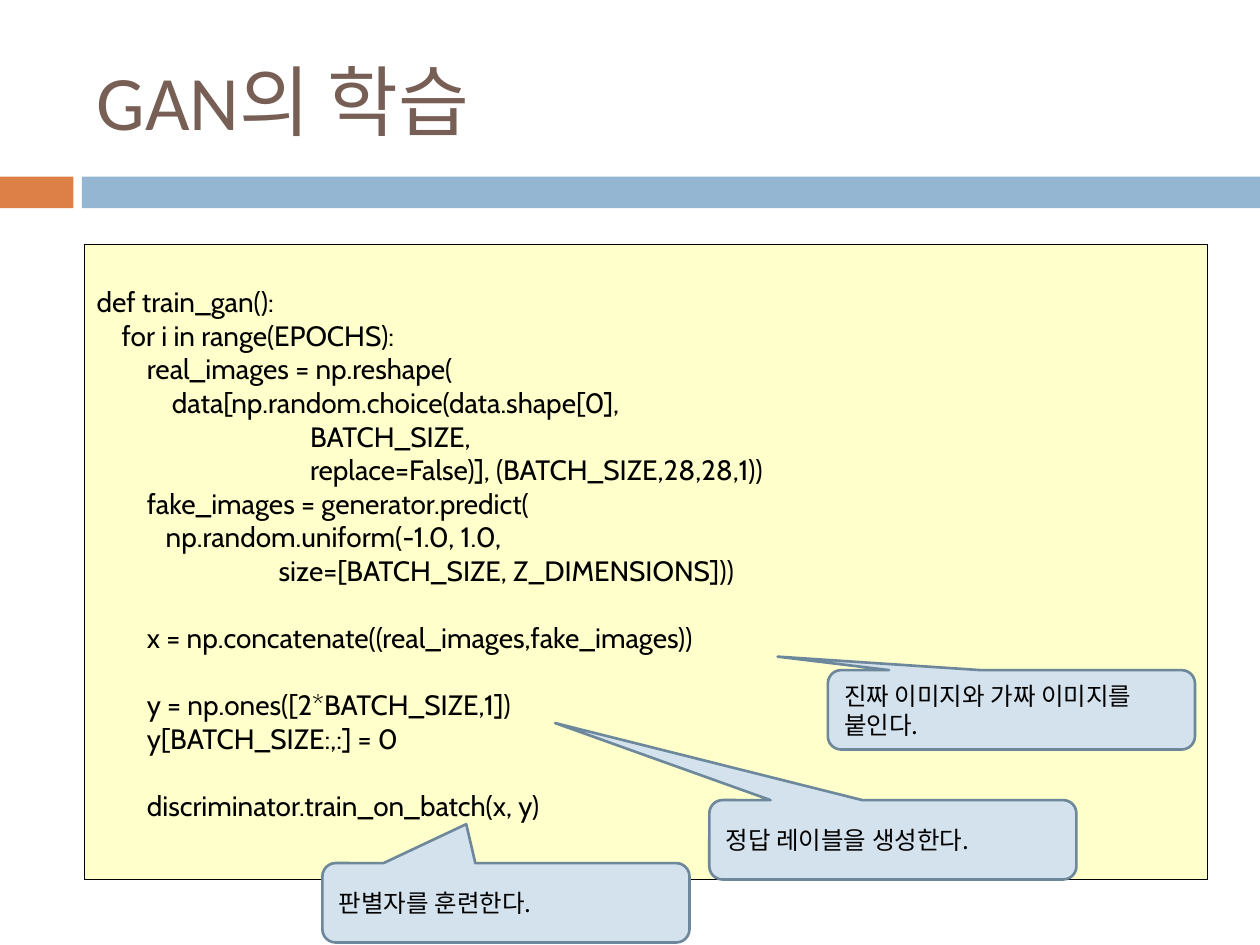
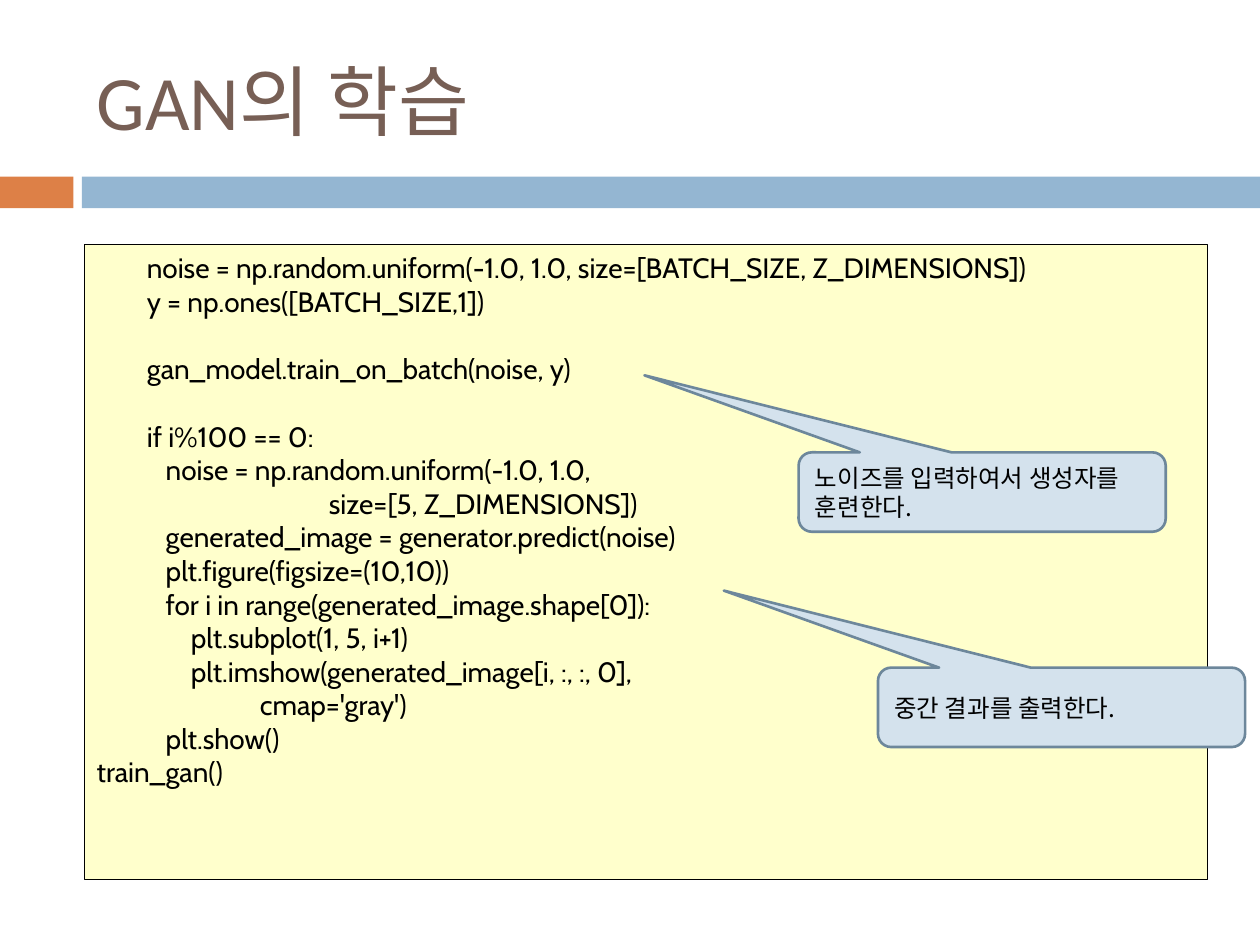
from collections import namedtuple

from lxml.etree import SubElement
from pptx import Presentation
from pptx.dml.color import RGBColor
from pptx.enum.shapes import MSO_SHAPE
from pptx.enum.text import MSO_ANCHOR, PP_ALIGN
from pptx.oxml.ns import qn
from pptx.util import Cm, Pt

Box = namedtuple("Box", "left top width height")
Callout = namedtuple("Callout", "text dx dy tip", defaults=[(-0.92, -1.471)])

COLORS = {
    "title": "775F55",
    "accent": "DD8047",
    "band": "94B6D2",
    "code_fill": "FFFFCC",
    "callout_fill": "D4E2ED",
    "callout_line": "6D879B",
    "text": "000000",
}
TITLE_FONT, CODE_FONT, KOREAN_FONT = "Calibri", "Cabin", "Noto Sans CJK KR"

SLIDE_WIDTH, SLIDE_HEIGHT = 25.4, 19.05
TITLE_BOX = Box(1.7, 0.64, 22.65, 2.74)
BAND_BOX = Box(0, 3.56, SLIDE_WIDTH, 0.64)
CODE_BOX = Box(1.7, 4.93, 22.65, 12.8)
CALLOUT_WIDTH, CALLOUT_HEIGHT = 7.4, 1.6
CODE_INSET = 0.13
CODE_LINE_CM = 0.68  # height of one 16 pt code line

TITLE = "GAN의 학습"

BATCH_CODE = """
def train_gan():
    for i in range(EPOCHS):
        real_images = np.reshape(
            data[np.random.choice(data.shape[0],
                                  BATCH_SIZE,
                                  replace=False)], (BATCH_SIZE,28,28,1))
        fake_images = generator.predict(
           np.random.uniform(-1.0, 1.0,
                             size=[BATCH_SIZE, Z_DIMENSIONS]))

        x = np.concatenate((real_images,fake_images))

        y = np.ones([2*BATCH_SIZE,1])
        y[BATCH_SIZE:,:] = 0

        discriminator.train_on_batch(x, y)"""

GENERATOR_CODE = """\
        noise = np.random.uniform(-1.0, 1.0, size=[BATCH_SIZE, Z_DIMENSIONS])
        y = np.ones([BATCH_SIZE,1])

        gan_model.train_on_batch(noise, y)

        if i%100 == 0:
           noise = np.random.uniform(-1.0, 1.0,
                                     size=[5, Z_DIMENSIONS])
           generated_image = generator.predict(noise)
           plt.figure(figsize=(10,10))
           for i in range(generated_image.shape[0]):
               plt.subplot(1, 5, i+1)
               plt.imshow(generated_image[i, :, :, 0],
                          cmap='gray')
           plt.show()
train_gan()"""

SLIDES = [
    (BATCH_CODE, [
        Callout("진짜 이미지와 가짜 이미지를 붙인다.", 14.99, 8.58, (-0.637, -0.67)),
        Callout("정답 레이블을 생성한다.", 12.6, 11.2),
        Callout("판별자를 훈련한다.", 4.8, 12.47, (-0.108, -0.991)),
    ]),
    (GENERATOR_CODE, [
        Callout("노이즈를 입력하여서 생성자를 훈련한다.", 14.4, 4.19),
        Callout("중간 결과를 출력한다.", 16, 8.53),
    ]),
]


def rgb(name):
    return RGBColor.from_string(COLORS[name])


def write_text(frame, text, *, size, font, color="text", anchor=MSO_ANCHOR.MIDDLE):
    """Fill a frame line by line; an empty line becomes space before the next."""
    frame.word_wrap = True
    frame.vertical_anchor = anchor
    gap = 0
    paragraph = None
    for line in text.split("\n"):
        if not line:
            gap += CODE_LINE_CM
            continue
        if paragraph is None:
            paragraph = frame.paragraphs[0]
            frame.margin_top = Cm(CODE_INSET + gap)
        else:
            paragraph = frame.add_paragraph()
            paragraph.space_before = Cm(gap)
        gap = 0
        paragraph.alignment = PP_ALIGN.LEFT
        run = paragraph.add_run()
        run.text = line
        run.font.size = Pt(size)
        run.font.name = font
        run.font.color.rgb = rgb(color)
        SubElement(run.font._element, qn("a:ea"), typeface=KOREAN_FONT)


def add_block(slide, preset, box, fill, line=None, line_width=0.75):
    block = slide.shapes.add_shape(preset, *map(Cm, box))
    block.shadow.inherit = False
    block.fill.solid()
    block.fill.fore_color.rgb = rgb(fill)
    if line:
        block.line.color.rgb = rgb(line)
        block.line.width = Pt(line_width)
    else:
        block.line.fill.background()
    return block


def add_title(slide, box):
    title = slide.shapes.add_textbox(*map(Cm, box))
    write_text(title.text_frame, TITLE, size=44, font=TITLE_FONT, color="title")


def add_band(slide, box, accent_width=1.48, gap=0.17):
    band_offset = accent_width + gap
    accent_box = box._replace(width=accent_width)
    band_box = box._replace(left=box.left + band_offset, width=box.width - band_offset)
    add_block(slide, MSO_SHAPE.RECTANGLE, accent_box, "accent")
    add_block(slide, MSO_SHAPE.RECTANGLE, band_box, "band")


def add_code(slide, box, code, callouts):
    """Draw the listing and the callouts, which are offset from its corner."""
    listing = add_block(slide, MSO_SHAPE.RECTANGLE, box, "code_fill", "text")
    write_text(listing.text_frame, code, size=16, font=CODE_FONT, anchor=MSO_ANCHOR.TOP)
    for callout in callouts:
        callout_box = Box(box.left + callout.dx, box.top + callout.dy,
                          CALLOUT_WIDTH, CALLOUT_HEIGHT)
        bubble = add_block(slide, MSO_SHAPE.ROUNDED_RECTANGULAR_CALLOUT, callout_box,
                           "callout_fill", "callout_line", 1.5)
        bubble.adjustments[0], bubble.adjustments[1] = callout.tip
        write_text(bubble.text_frame, callout.text, size=14, font=KOREAN_FONT)


def main():
    deck = Presentation()
    deck.slide_width, deck.slide_height = Cm(SLIDE_WIDTH), Cm(SLIDE_HEIGHT)
    blank_layout = deck.slide_layouts[6]
    for code, callouts in SLIDES:
        slide = deck.slides.add_slide(blank_layout)
        add_band(slide, BAND_BOX)
        add_title(slide, TITLE_BOX)
        add_code(slide, CODE_BOX, code, callouts)
    deck.save("out.pptx")


if __name__ == "__main__":
    main()
